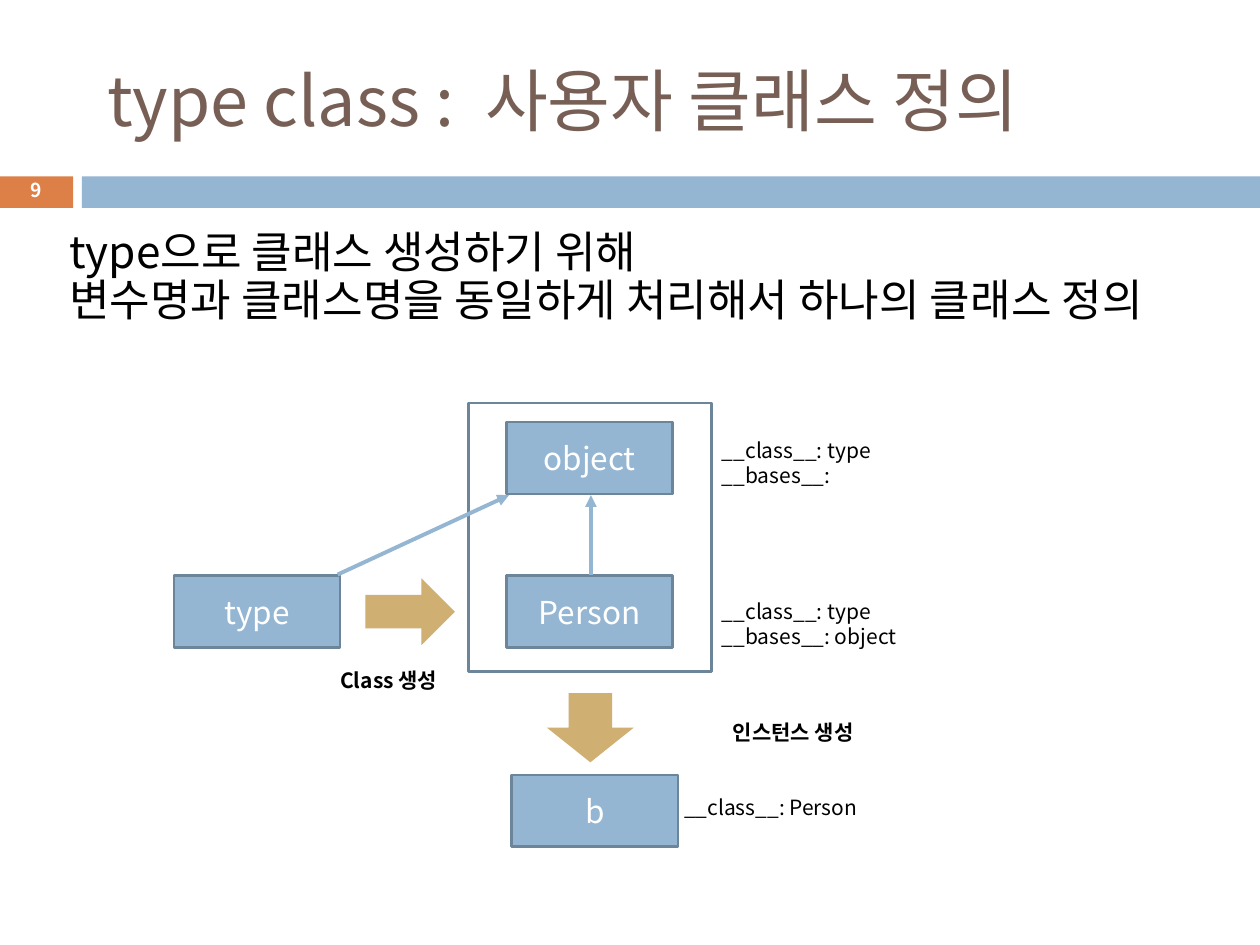
from pptx import Presentation
from pptx.dml.color import RGBColor
from pptx.enum.shapes import MSO_CONNECTOR as CONN, MSO_SHAPE as SHAPE
from pptx.enum.text import MSO_ANCHOR as ANCHOR, PP_ALIGN as ALIGN
from pptx.oxml.ns import qn
from pptx.util import Inches, Pt
from lxml.etree import SubElement

THEME = {
    "font": "Noto Sans CJK KR",
    "blue": RGBColor.from_string("94B6D2"),
    "edge": RGBColor.from_string("6C8599"),
    "orange": RGBColor.from_string("DD8047"),
    "gold": RGBColor.from_string("D0AF72"),
    "brown": RGBColor.from_string("775F55"),
    "black": RGBColor.from_string("000000"),
    "white": RGBColor.from_string("FFFFFF"),
    "title": 39, "body": 25.2, "box": 18, "note": 12, "number": 11,
}

prs = Presentation()
prs.slide_width, prs.slide_height = Inches(10), Inches(7.5)
s = prs.slides.add_slide(prs.slide_layouts[5])


def write(sp, text, size, color, align=ALIGN.LEFT, anchor=ANCHOR.TOP, bold=False):
    """Put formatted text into a shape."""
    tf = sp.text_frame
    tf.text = text
    tf.word_wrap = True
    tf.vertical_anchor = anchor
    tf.margin_left = tf.margin_right = tf.margin_top = tf.margin_bottom = Inches(0.05)
    for p in tf.paragraphs:
        p.alignment = align
        for r in p.runs:
            r.font.name = THEME["font"]
            r.font.size = Pt(THEME[size])
            r.font.bold = bold
            r.font.color.rgb = THEME[color]
            SubElement(r.font._element, qn("a:ea"), typeface=THEME["font"])
    return tf


def draw(kind, x, y, w, h, fill=None, line=None):
    """Add a preset shape with the given fill and outline colours."""
    sp = s.shapes.add_shape(kind, Inches(x), Inches(y), Inches(w), Inches(h))
    sp.shadow.inherit = False
    if fill:
        sp.fill.solid()
        sp.fill.fore_color.rgb = THEME[fill]
    else:
        sp.fill.background()
    if line:
        sp.line.color.rgb = THEME[line]
        sp.line.width = Pt(1.5)
    else:
        sp.line.fill.background()
    return sp


# Header
title = s.shapes.title
title.left, title.top, title.width, title.height = map(Inches, (0.67, 0.25, 8.92, 1.08))
tf = write(title, "type class :  사용자 클래스 정의", "title", "brown", anchor=ANCHOR.MIDDLE)
tf.margin_left = Inches(0.18)

number = draw(SHAPE.RECTANGLE, 0, 1.4, 0.58, 0.25, "orange")
tf = write(number, "9", "number", "white", ALIGN.CENTER, ANCHOR.MIDDLE, bold=True)
tf.margin_top = tf.margin_bottom = 0
tf.paragraphs[0].line_spacing = 0.8
draw(SHAPE.RECTANGLE, 0.65, 1.4, 9.35, 0.25, "blue")

# Introduction
body = s.shapes.add_textbox(Inches(0.5), Inches(1.78), Inches(9), Inches(1.3))
tf = write(body, "type으로 클래스 생성하기 위해\v변수명과 클래스명을 동일하게 처리해서 하나의 클래스 정의",
           "body", "black")
tf.paragraphs[0].line_spacing = 0.9
tf.paragraphs[0].space_before = Pt(6)

# Class diagram
for name, x, y in [("object", 4.02, 3.35), ("type", 1.38, 4.57),
                   ("Person", 4.02, 4.57), ("b", 4.06, 6.15)]:
    box = draw(SHAPE.RECTANGLE, x, y, 1.32, 0.57, "blue", "edge")
    write(box, name, "box", "white", ALIGN.CENTER, ANCHOR.MIDDLE)

draw(SHAPE.RECTANGLE, 3.72, 3.2, 1.93, 2.13, line="edge")
draw(SHAPE.RIGHT_ARROW, 2.9, 4.59, 0.71, 0.53, "gold")
draw(SHAPE.DOWN_ARROW, 4.34, 5.5, 0.69, 0.55, "gold")

for x1, x2 in [(4.69, 4.69), (2.68, 4.04)]:
    arrow = s.shapes.add_connector(CONN.STRAIGHT, Inches(x1), Inches(4.56),
                                   Inches(x2), Inches(3.93))
    arrow.line.color.rgb = THEME["blue"]
    arrow.line.width = Pt(2.25)
    SubElement(arrow.line._get_or_add_ln(), qn("a:tailEnd"), type="triangle")
    SubElement(arrow._element.spPr, qn("a:effectLst"))

# Captions and attribute notes
for text, x, y, w, h, align, bold in [
    ("Class 생성", 2.14, 5.25, 1.89, 0.3, ALIGN.CENTER, True),
    ("인스턴스 생성", 5.35, 5.66, 1.89, 0.3, ALIGN.CENTER, True),
    ("__class__: Person", 5.38, 6.26, 2.47, 0.3, ALIGN.LEFT, False),
    ("__class__: type\n__bases__: object", 5.68, 4.7, 2.47, 0.5, ALIGN.LEFT, False),
    ("__class__: type\n__bases__:", 5.68, 3.42, 2.47, 0.5, ALIGN.LEFT, False),
]:
    note = s.shapes.add_textbox(Inches(x), Inches(y), Inches(w), Inches(h))
    write(note, text, "note", "black", align, bold=bold)

prs.save("out.pptx")
